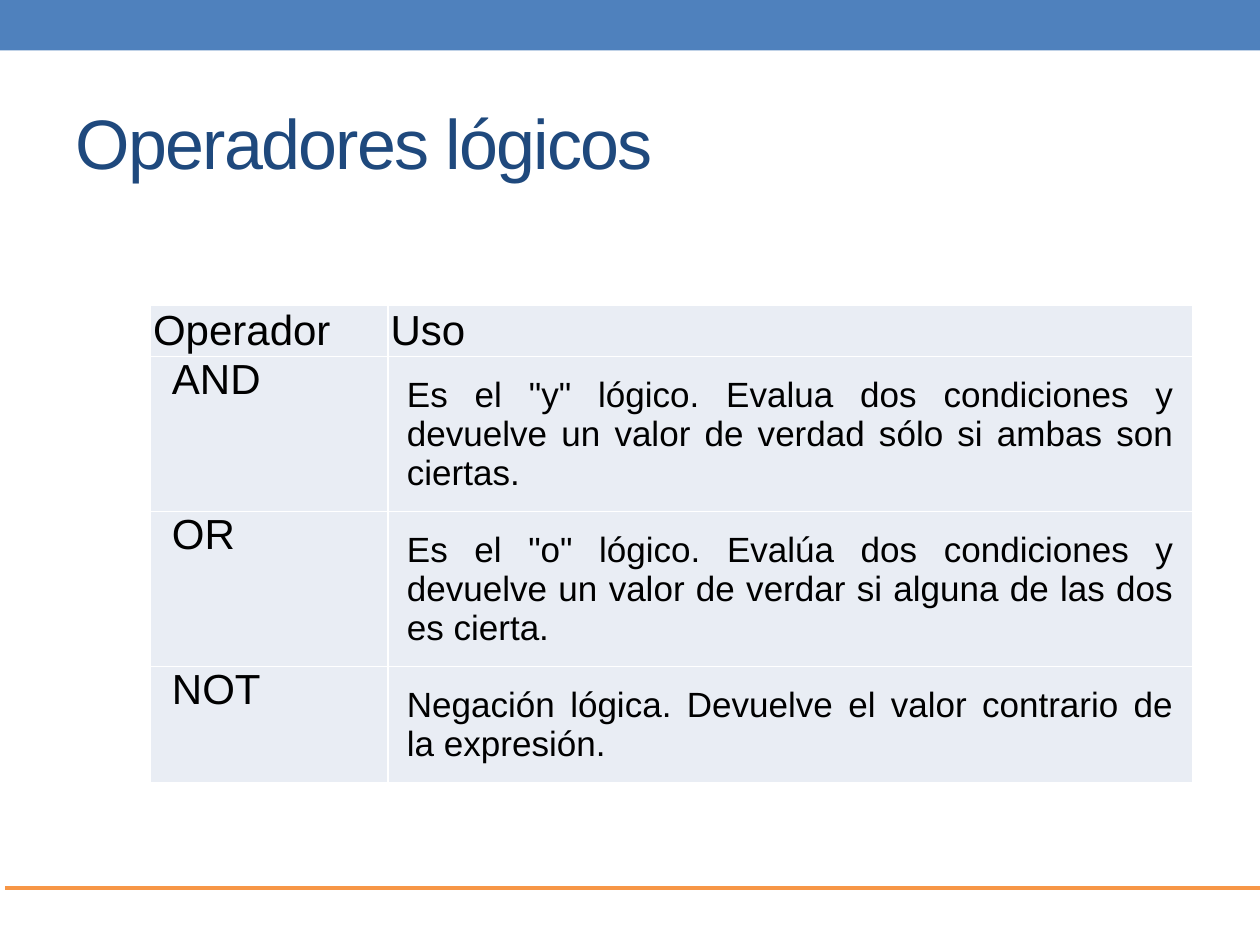
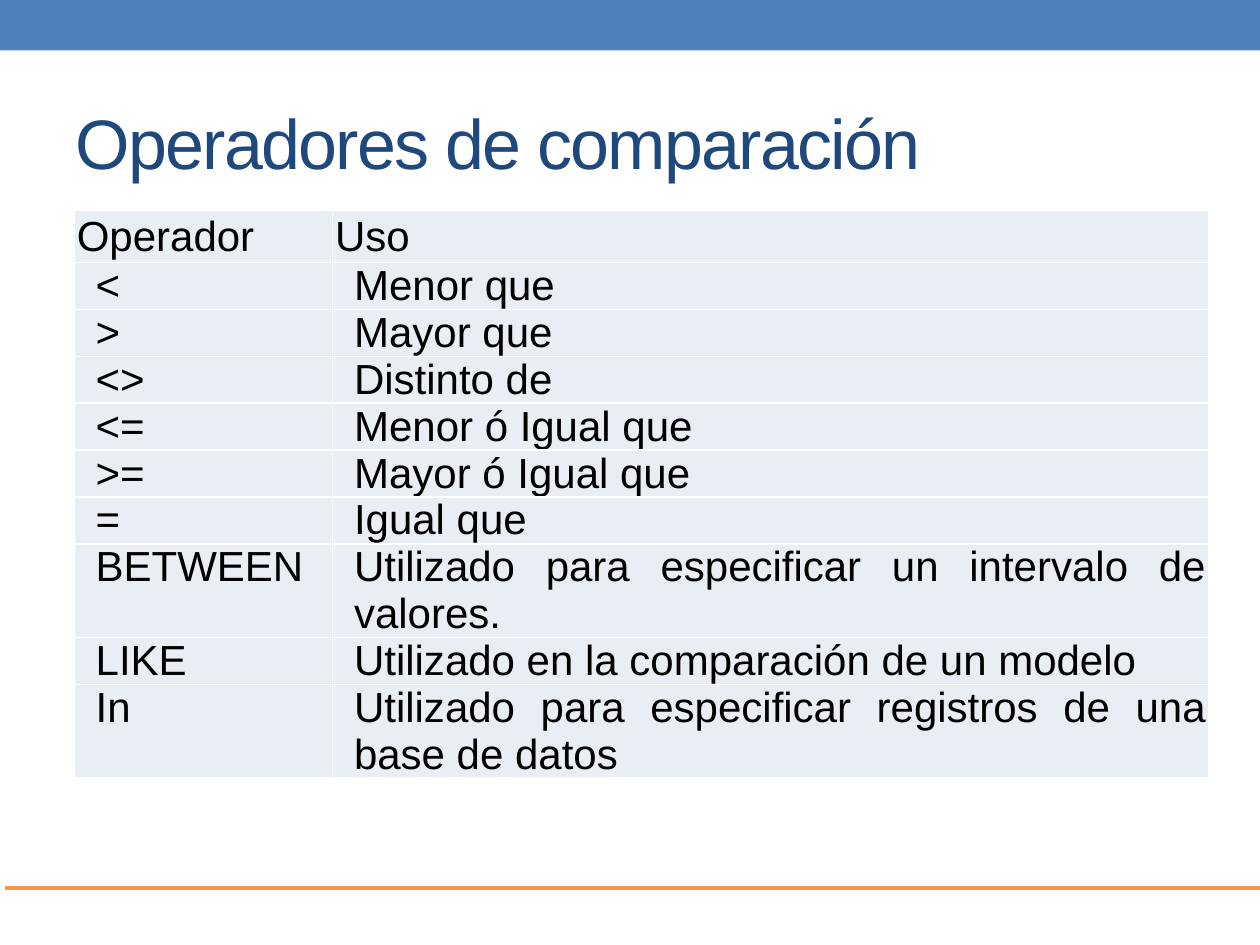
import dataclasses
import typing

import lxml.etree
import pptx
import pptx.dml.color
import pptx.enum.shapes
import pptx.enum.text
import pptx.oxml.ns
import pptx.util

WIDE, HIGH = pptx.util.Inches(10), pptx.util.Inches(7.5)
ANCHOR = pptx.enum.text.MSO_ANCHOR
ALIGN = pptx.enum.text.PP_ALIGN


@dataclasses.dataclass(frozen=True)
class Theme:
    font: str = "Arial"
    band: str = "4F81BD"
    rule: str = "F79646"
    title: str = "1F497D"
    ink: str = "000000"
    cell: str = "E9EDF4"
    edge: str = "FFFFFF"
    title_size: float = 40
    text_size: float = 24
    small_size: float = 20
    rule_size: float = 2.25
    edge_size: float = 1


class Look(typing.NamedTuple):
    """Cell style: insets in inches (left, top, right, bottom) and text."""
    inset: tuple[float, float, float, float]
    size: float
    anchor: ANCHOR = ANCHOR.TOP


class Row(typing.NamedTuple):
    name: str
    use: str
    lines: int = 1  # text lines the row holds


@dataclasses.dataclass(frozen=True)
class Page:
    """Table place and row steps as percentages of the slide."""
    title: str
    left: float
    top: float
    cols: tuple[float, float]
    line: float
    pad: float
    look: Look
    rows: list[Row]


THEME = Theme()
HEAD = Look((0.02,) * 4, THEME.text_size, ANCHOR.MIDDLE)
TIGHT = Look((0.17, 0, 0.02, 0), THEME.text_size)
ROOMY = Look((0.15,) * 4, THEME.small_size)
HEAD_ROW = Row("Operador", "Uso")
HEAD_HIGH = 5.4

PAGES = [
    Page("Operadores lógicos", 11.95, 32.25, (18.85, 63.85), 4.13, 4, ROOMY, [
        Row("AND", 'Es el "y" lógico. Evalua dos condiciones y devuelve '
            "un valor de verdad sólo si ambas son ciertas.", 3),
        Row("OR", 'Es el "o" lógico. Evalúa dos condiciones y devuelve '
            "un valor de verdar si alguna de las dos es cierta.", 3),
        Row("NOT", "Negación lógica. Devuelve el valor contrario de "
            "la expresión.", 2),
    ]),
    Page("Operadores de comparación", 5.9, 22.3, (20.5, 69.5), 4.95, 0, TIGHT, [
        Row("<", "Menor que"),
        Row(">", "Mayor que"),
        Row("<>", "Distinto de"),
        Row("<=", "Menor ó Igual que"),
        Row(">=", "Mayor ó Igual que"),
        Row("=", "Igual que"),
        Row("BETWEEN", "Utilizado para especificar un intervalo de valores.", 2),
        Row("LIKE", "Utilizado en la comparación de un modelo"),
        Row("In", "Utilizado para especificar registros de una base de datos", 2),
    ]),
]


def across(share: float) -> int:
    return round(WIDE * share / 100)


def down(share: float) -> int:
    return round(HIGH * share / 100)


def color(code: str) -> pptx.dml.color.RGBColor:
    return pptx.dml.color.RGBColor.from_string(code)


def add_run(frame, text: str, size: float, ink: str, align: ALIGN):
    para = frame.paragraphs[0]
    para.alignment = align
    run = para.add_run()
    run.text = text
    run.font.name = THEME.font
    run.font.size = pptx.util.Pt(size)
    run.font.color.rgb = color(ink)
    return run


# Band, title and bottom rule shared by the slides
def add_base(slide, title: str) -> None:
    band = slide.shapes.add_shape(
        pptx.enum.shapes.MSO_SHAPE.RECTANGLE, 0, 0, WIDE, down(5.33))
    band.shadow.inherit = False
    band.fill.solid()
    band.fill.fore_color.rgb = color(THEME.band)
    band.line.fill.background()

    rule = slide.shapes.add_connector(
        pptx.enum.shapes.MSO_CONNECTOR.STRAIGHT,
        across(0.4), down(94), across(100.4), down(94))
    rule.line.color.rgb = color(THEME.rule)
    rule.line.width = pptx.util.Pt(THEME.rule_size)
    lxml.etree.SubElement(rule.element.spPr, pptx.oxml.ns.qn("a:effectLst"))

    head = slide.shapes.title
    head.left, head.top = across(5), down(7.73)
    head.width, head.height = across(90), down(14.4)
    head.text_frame.vertical_anchor = ANCHOR.MIDDLE
    run = add_run(head.text_frame, title, THEME.title_size, THEME.title, ALIGN.LEFT)
    run.font._element.set("spc", "-100")


# Table cells
def add_edges(cell) -> None:
    props = cell._tc.get_or_add_tcPr()
    qn = pptx.oxml.ns.qn
    for spot, side in enumerate(("lnL", "lnR", "lnT", "lnB")):
        line = lxml.etree.Element(
            qn(f"a:{side}"), w=str(pptx.util.Pt(THEME.edge_size)))
        fill = lxml.etree.SubElement(line, qn("a:solidFill"))
        lxml.etree.SubElement(fill, qn("a:srgbClr"), val=THEME.edge)
        props.insert(spot, line)


def fill_cell(cell, text: str, look: Look) -> None:
    (cell.margin_left, cell.margin_top, cell.margin_right,
     cell.margin_bottom) = map(pptx.util.Inches, look.inset)
    cell.vertical_anchor = look.anchor
    cell.fill.solid()
    cell.fill.fore_color.rgb = color(THEME.cell)
    add_edges(cell)
    add_run(cell.text_frame, text, look.size, THEME.ink, ALIGN.JUSTIFY)


def add_grid(slide, page: Page) -> None:
    rows = [HEAD_ROW, *page.rows]
    highs = [HEAD_HIGH] + [page.pad + page.line * row.lines for row in page.rows]
    table = slide.shapes.add_table(
        len(rows), len(page.cols), across(page.left), down(page.top),
        across(sum(page.cols)), down(sum(highs))).table
    table.first_row = table.horz_banding = False
    for col, wide in zip(table.columns, page.cols):
        col.width = across(wide)
    for spot, (row, high) in enumerate(zip(rows, highs)):
        table.rows[spot].height = down(high)
        looks = (TIGHT, page.look) if spot else (HEAD, HEAD)
        for col, (text, look) in enumerate(zip((row.name, row.use), looks)):
            fill_cell(table.cell(spot, col), text, look)


def main() -> None:
    deck = pptx.Presentation()
    deck.slide_width, deck.slide_height = WIDE, HIGH
    for page in PAGES:
        slide = deck.slides.add_slide(deck.slide_layouts.get_by_name("Title Only"))
        add_base(slide, page.title)
        add_grid(slide, page)
    deck.save("out.pptx")


if __name__ == "__main__":
    main()
